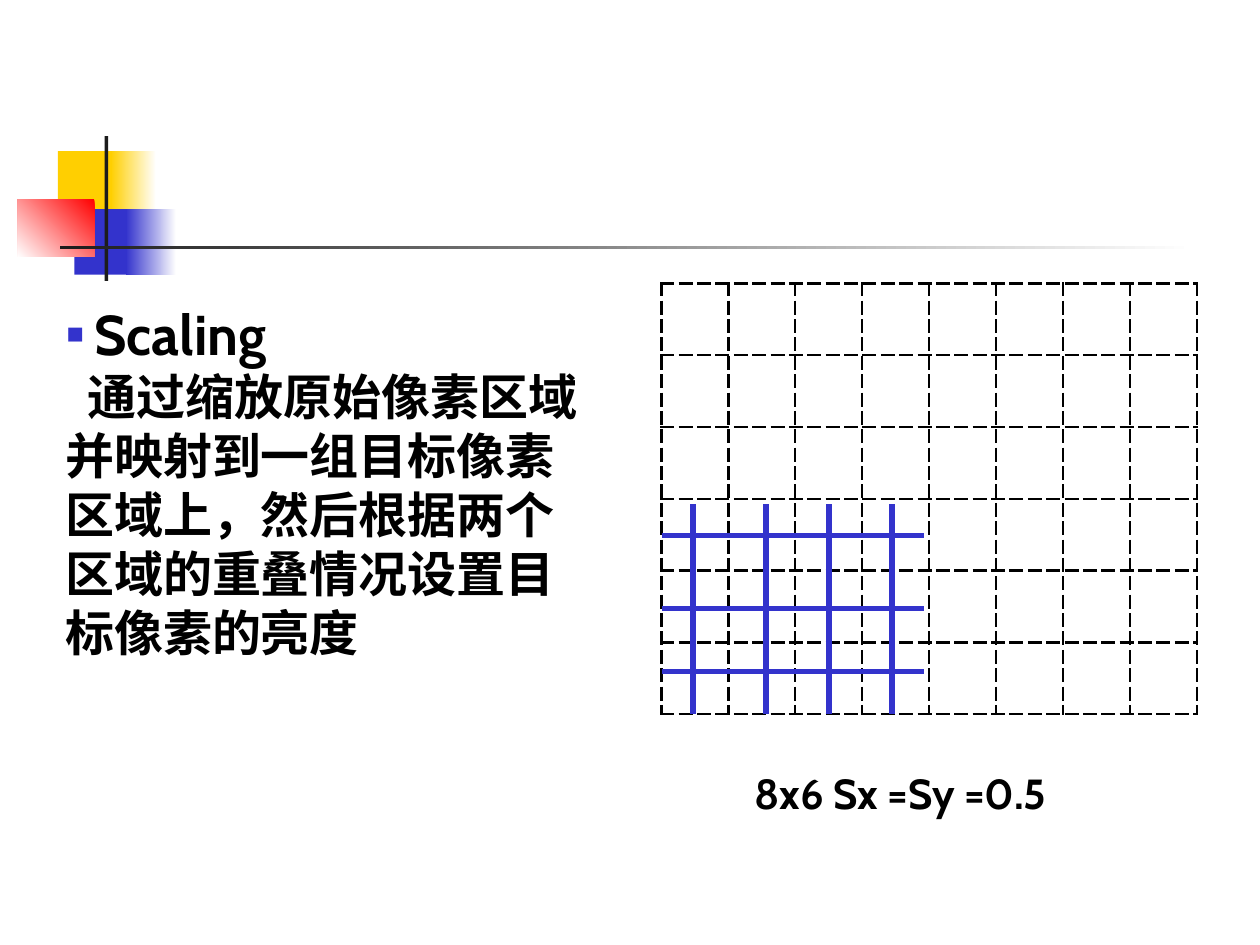
from typing import NamedTuple, Optional

from lxml import etree
from pptx import Presentation
from pptx import util as u
from pptx.dml.color import RGBColor
from pptx.enum import shapes, text
from pptx.oxml import ns

COLORS = {
    "yellow": "FFCF01", "blue": "3333CC", "red": "FF0000",
    "charcoal": "1C1C1C", "white": "FFFFFF", "black": "000000",
}
FONT = "Cabin"
COLUMNS, ROWS = 8, 6


class Block(NamedTuple):
    left: float
    top: float
    width: float
    height: float
    color: str
    fade_to: Optional[str] = None
    angle: float = 180  # counter-clockwise


class Segment(NamedTuple):
    x1: float
    y1: float
    x2: float
    y2: float


def rgb(name: str) -> RGBColor:
    return RGBColor.from_string(COLORS[name])


def child(parent, tag: str, **attributes: str):
    return etree.SubElement(parent, ns.qn(tag), attributes)


def draw_block(slide, block: Block) -> None:
    rect = slide.shapes.add_shape(
        shapes.MSO_SHAPE.RECTANGLE, u.Inches(block.left), u.Inches(block.top),
        u.Inches(block.width), u.Inches(block.height))
    rect.shadow.inherit = False
    rect.line.fill.background()
    if block.fade_to is None:
        rect.fill.solid()
        rect.fill.fore_color.rgb = rgb(block.color)
        return
    rect.fill.gradient()
    rect.fill.gradient_angle = block.angle
    for stop, name in zip(rect.fill.gradient_stops, (block.color, block.fade_to)):
        stop.color.rgb = rgb(name)


def draw_segment(group, segment: Segment) -> None:
    line = group.shapes.add_connector(
        shapes.MSO_CONNECTOR.STRAIGHT, *(u.Inches(value) for value in segment))
    line.line.color.rgb = rgb("blue")
    line.line.width = u.Pt(3)
    child(line._element.spPr, "a:effectLst")


def add_text_box(slide, left: float, top: float, width: float, height: float,
                 wrap: bool = True):
    frame = slide.shapes.add_textbox(
        u.Inches(left), u.Inches(top), u.Inches(width), u.Inches(height)).text_frame
    frame.word_wrap = wrap
    frame.auto_size = (text.MSO_AUTO_SIZE.NONE if wrap
                       else text.MSO_AUTO_SIZE.SHAPE_TO_FIT_TEXT)
    return frame


def write(paragraph, words: str, *, size: float, margin: float = 0,
          indent: float = 0, bullet: Optional[str] = None) -> None:
    properties = paragraph._p.get_or_add_pPr()
    properties.set("marL", str(u.Inches(margin)))
    properties.set("indent", str(u.Inches(indent)))
    if bullet:
        child(child(properties, "a:buClr"), "a:srgbClr", val=COLORS["blue"])
        child(properties, "a:buFont", typeface="Arial")
        child(properties, "a:buChar", char=bullet)
    else:
        child(properties, "a:buNone")
    run = paragraph.add_run()
    run.text = words
    run.font.size = u.Pt(size)
    run.font.name = FONT
    run.font.bold = True
    run.font.color.rgb = rgb("black")


def draw_dashed_grid(slide, left: float, top: float, width: float,
                     height: float) -> None:
    grid = slide.shapes.add_table(
        ROWS, COLUMNS, u.Inches(left), u.Inches(top),
        u.Inches(width), u.Inches(height)).table
    grid.first_row = grid.horz_banding = False
    for column in grid.columns:
        column.width = u.Inches(width / COLUMNS)
    for row in grid.rows:
        row.height = u.Inches(height / ROWS)
    for cell in grid.iter_cells():
        properties = cell._tc.get_or_add_tcPr()
        for side in ("a:lnL", "a:lnR", "a:lnT", "a:lnB"):
            border = child(properties, side, w=str(u.Pt(1.47)))
            child(child(border, "a:solidFill"), "a:srgbClr", val=COLORS["black"])
            child(border, "a:prstDash", val="dash")
        cell.fill.background()


# Corner ornament and fading rule
ORNAMENT = [
    Block(0.46, 1.2, 0.48, 0.52, "yellow"),
    Block(0.88, 1.2, 0.36, 0.52, "white", "yellow"),
    Block(0.59, 1.66, 0.46, 0.52, "blue"),
    Block(1, 1.66, 0.4, 0.52, "white", "blue"),
    Block(0.14, 1.58, 0.61, 0.46, "red", "white", 225),
    Block(0.83, 1.08, 0.03, 1.15, "charcoal"),
    Block(0.48, 1.95, 9, 0.03, "white", "charcoal"),
]

# Scaled pixel grid laid over the target grid
SCALED_GRID = (
    [Segment(5.25, y, 7.33, y) for y in (4.25, 4.83, 5.33)]
    + [Segment(x, 4, x, 5.67) for x in (5.5, 6.08, 6.58, 7.08)]
)


def main() -> None:
    deck = Presentation()
    deck.slide_width, deck.slide_height = u.Inches(10), u.Inches(7.5)
    slide = deck.slides.add_slide(deck.slide_layouts[6])

    for block in ORNAMENT:
        draw_block(slide, block)

    # Explanation
    explanation = add_text_box(slide, 0.42, 2.33, 4.33, 3.75)
    write(explanation.paragraphs[0], "Scaling", size=32,
          margin=0.23, indent=-0.23, bullet="▪")
    write(explanation.add_paragraph(),
          "通过缩放原始像素区域并映射到一组目标像素区域上，"
          "然后根据两个区域的重叠情况设置目标像素的亮度",
          size=28, indent=0.18)

    # Pixel grids
    draw_dashed_grid(slide, 5.25, 2.25, 4.25, 3.42)
    scaled_grid = slide.shapes.add_group_shape()
    for segment in SCALED_GRID:
        draw_segment(scaled_grid, segment)

    # Caption
    caption = add_text_box(slide, 5.89, 6.04, 2.69, 0.5, wrap=False)
    write(caption.paragraphs[0], "8x6 Sx =Sy =0.5", size=24)

    deck.save("out.pptx")


if __name__ == "__main__":
    main()
